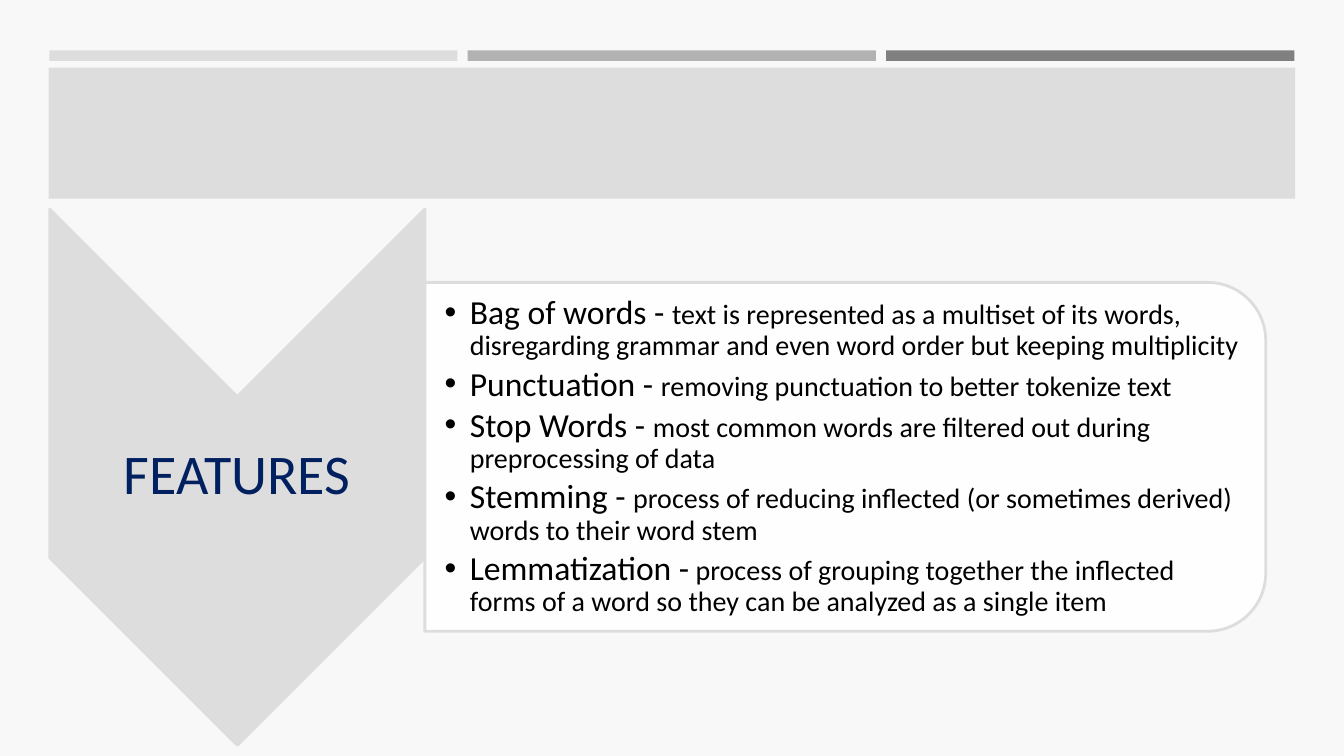
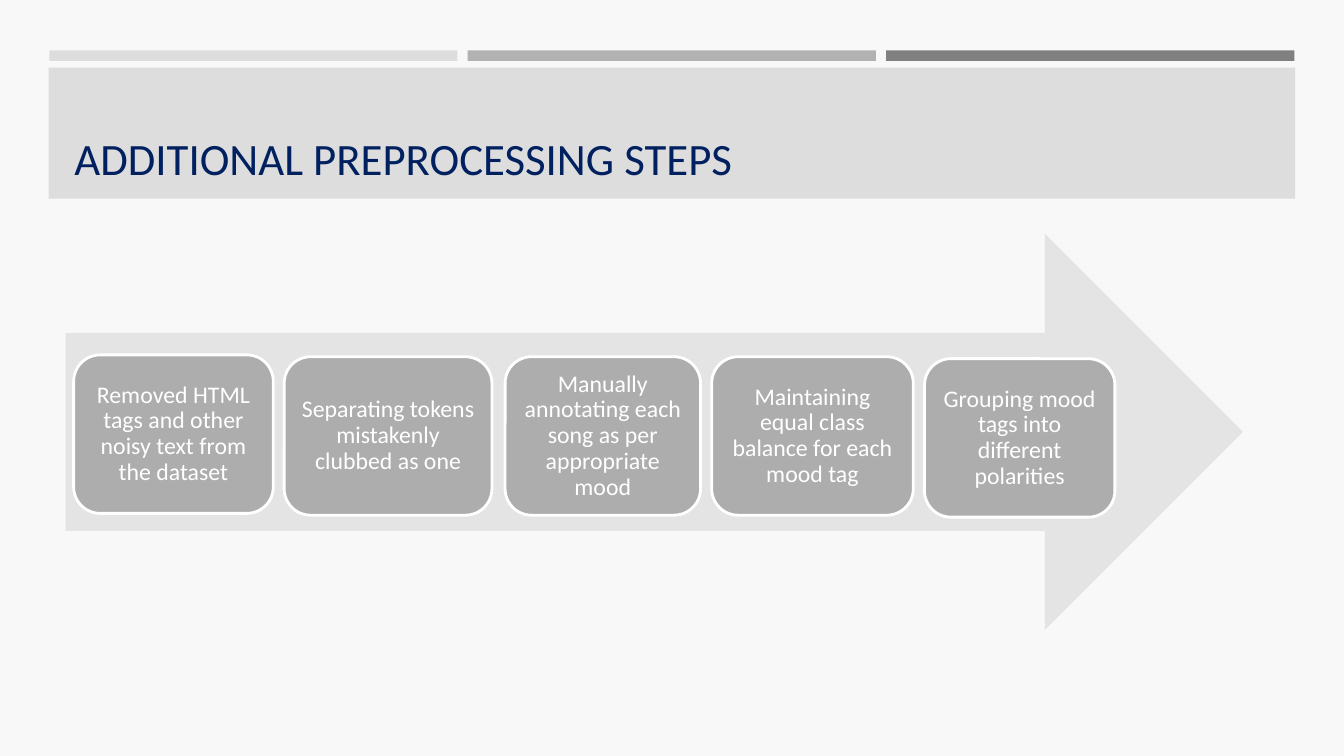
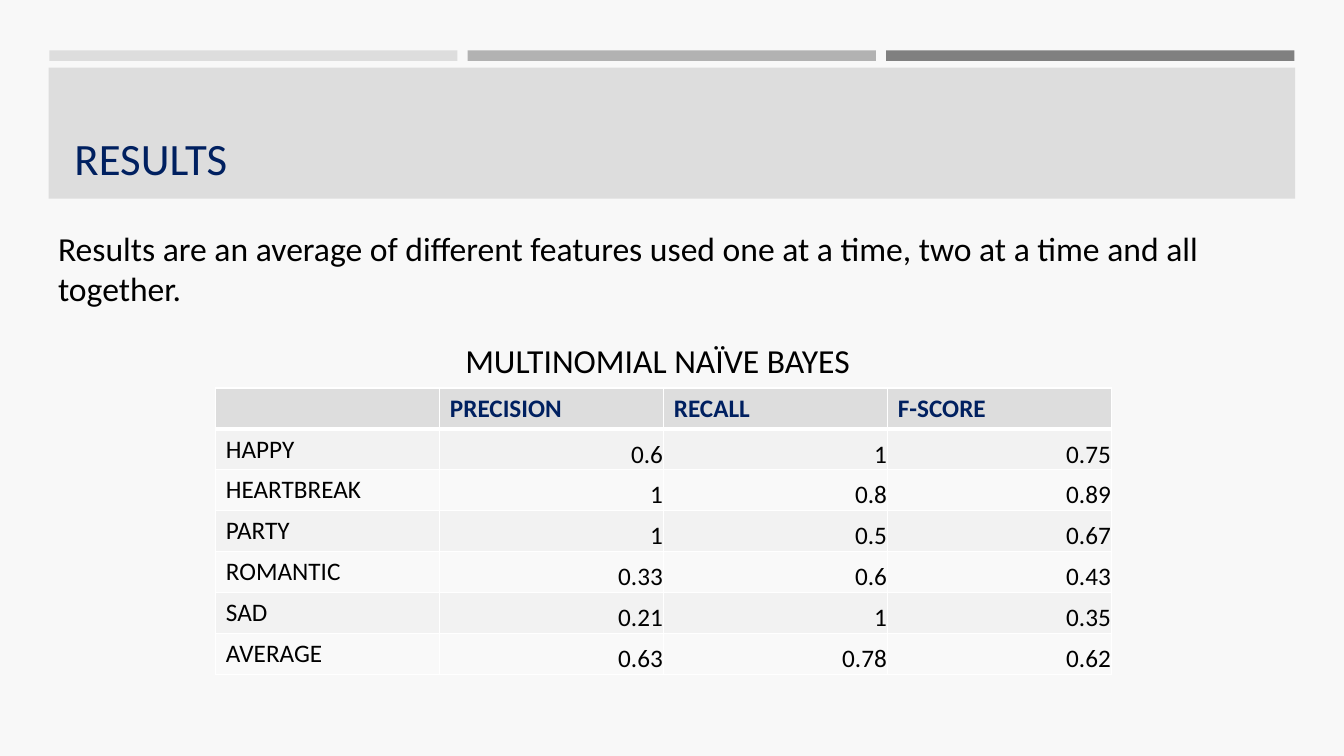
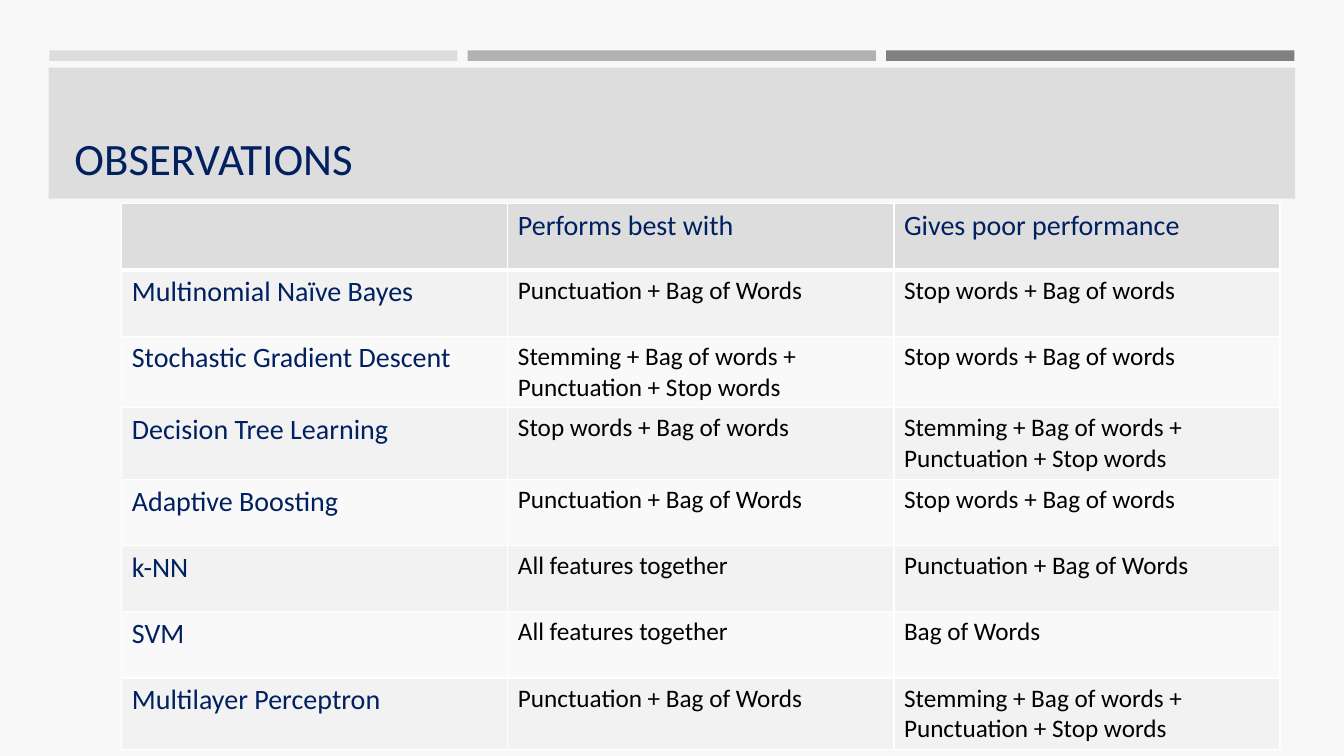
from dataclasses import dataclass
from typing import Optional

from lxml import etree
from pptx import Presentation
from pptx.dml.color import RGBColor
from pptx.enum.shapes import MSO_SHAPE, PP_PLACEHOLDER
from pptx.enum.text import MSO_ANCHOR, MSO_AUTO_SIZE, PP_ALIGN
from pptx.oxml.ns import qn
from pptx.util import Pt

RECT, ROUNDED = MSO_SHAPE.RECTANGLE, MSO_SHAPE.ROUNDED_RECTANGLE
CHEVRON, ARROW = MSO_SHAPE.CHEVRON, MSO_SHAPE.RIGHT_ARROW
TOP_ROUNDED = MSO_SHAPE.ROUND_2_SAME_RECTANGLE
LEFT, CENTER, RIGHT = PP_ALIGN.LEFT, PP_ALIGN.CENTER, PP_ALIGN.RIGHT
TOP, MIDDLE, BOTTOM = MSO_ANCHOR.TOP, MSO_ANCHOR.MIDDLE, MSO_ANCHOR.BOTTOM
NO_FIT = MSO_AUTO_SIZE.NONE
TITLE = PP_PLACEHOLDER.TITLE

FONT = "Calibri"
COLORS = {
    "background": "F8F8F8",
    "band": "DDDDDD",
    "band_mid": "B2B2B2",
    "band_dark": "808080",
    "arrow": "E4E4E4",
    "step": "ADADAD",
    "row_odd": "F2F2F2",
    "row_even": "F9F9F9",
    "white": "FFFFFF",
    "navy": "002060",
    "black": "000000",
}
DEFAULT_INSETS = (7.2, 3.6, 7.2, 3.6)
NUMBER_INSETS = (0.7, 0.7, 0.7, 0)
LAYOUT_CONTENT, LAYOUT_TITLE_ONLY = 1, 5


@dataclass
class Box:
    """A place on the slide, in points."""
    left: float
    top: float
    width: float
    height: float

    def lengths(self) -> tuple:
        return Pt(self.left), Pt(self.top), Pt(self.width), Pt(self.height)


@dataclass
class Step:
    text: str
    left: float
    top: float
    width: float


@dataclass
class CellStyle:
    size: float
    color: str = "black"
    bold: bool = False
    align: PP_ALIGN = LEFT
    anchor: MSO_ANCHOR = TOP
    insets: tuple = DEFAULT_INSETS


@dataclass
class TableStyle:
    header: CellStyle
    label: CellStyle
    value: CellStyle


def rgb(name: str) -> RGBColor:
    return RGBColor.from_string(COLORS[name])


# Text
def write_text(frame, paragraphs, *, size=18, color="black", bold=False,
               align=LEFT, anchor=TOP, insets=DEFAULT_INSETS,
               line_spacing=1.0, space_after=0, hanging=None) -> None:
    """Write a string, or a list of paragraphs made of (text, size) runs."""
    if isinstance(paragraphs, str):
        paragraphs = [[(paragraphs, size)]]
    frame.word_wrap, frame.auto_size = True, NO_FIT
    frame.vertical_anchor = anchor
    (frame.margin_left, frame.margin_top,
     frame.margin_right, frame.margin_bottom) = map(Pt, insets)
    for index, runs in enumerate(paragraphs):
        paragraph = frame.add_paragraph() if index else frame.paragraphs[0]
        paragraph.alignment = align
        paragraph.line_spacing = line_spacing
        paragraph.space_before, paragraph.space_after = Pt(0), Pt(space_after)
        if hanging is not None:
            properties = paragraph.runs and None or paragraph._p.get_or_add_pPr()
            properties.set("marL", str(Pt(hanging)))
            properties.set("indent", str(-Pt(hanging)))
        for text, run_size in runs:
            run = paragraph.add_run()
            run.text = text
            run.font.name, run.font.size = FONT, Pt(run_size)
            run.font.bold = bold
            run.font.color.rgb = rgb(color)


def add_label(slide, box: Box, text: str, **text_format) -> None:
    label = slide.shapes.add_textbox(*box.lengths())
    write_text(label.text_frame, text, **text_format)


# Shapes
def add_figure(slide, kind, box: Box, fill: str, line: Optional[str] = None,
               rotation: float = 0, opacity: Optional[int] = None):
    figure = slide.shapes.add_shape(kind, *box.lengths())
    figure.shadow.inherit = False
    figure.rotation = rotation
    figure.fill.solid()
    figure.fill.fore_color.rgb = rgb(fill)
    if opacity is not None:
        fill_color = figure.element.spPr.find(qn("a:solidFill"))[0]
        etree.SubElement(fill_color, qn("a:alpha"), val=str(opacity * 1000))
    if line:
        figure.line.color.rgb = rgb(line)
        figure.line.width = Pt(2)
    else:
        figure.line.fill.background()
    return figure


def place(placeholder, box: Box) -> None:
    (placeholder.left, placeholder.top,
     placeholder.width, placeholder.height) = box.lengths()


# Tables
def set_borders(cell, top: float, bottom: float) -> None:
    properties = cell._tc.get_or_add_tcPr()
    widths = {"a:lnL": 1, "a:lnR": 1, "a:lnT": top, "a:lnB": bottom}
    for index, (side, width) in enumerate(widths.items()):
        border = etree.Element(qn(side), w=str(Pt(width)))
        solid = etree.SubElement(border, qn("a:solidFill"))
        etree.SubElement(solid, qn("a:srgbClr"), val=COLORS["white"])
        properties.insert(index, border)


def add_grid(slide, box: Box, rows: list, style: TableStyle) -> None:
    table = slide.shapes.add_table(
        len(rows), len(rows[0]), *box.lengths()).table
    for column in table.columns:
        column.width = Pt(box.width / len(rows[0]))
    for r, row in enumerate(rows):
        table.rows[r].height = Pt(box.height / len(rows))
        for c, text in enumerate(row):
            cell = table.cell(r, c)
            if r == 0:
                fill, look = "band", style.header
            else:
                fill = "row_odd" if r % 2 else "row_even"
                look = style.value if c else style.label
            cell.fill.solid()
            cell.fill.fore_color.rgb = rgb(fill)
            set_borders(cell, top=3 if r == 1 else 1, bottom=1 if r else 3)
            cell.vertical_anchor = look.anchor
            (cell.margin_left, cell.margin_top,
             cell.margin_right, cell.margin_bottom) = map(Pt, look.insets)
            if text:
                paragraph = cell.text_frame.paragraphs[0]
                paragraph.alignment = look.align
                run = paragraph.add_run()
                run.text = text
                run.font.name, run.font.size = FONT, Pt(look.size)
                run.font.bold = look.bold
                run.font.color.rgb = rgb(look.color)


# Shared parts
def build_master(prs, first_slide) -> None:
    """Set background, title place and bands once, on the master."""
    master = prs.slide_master
    master.background.fill.solid()
    master.background.fill.fore_color.rgb = rgb("background")
    place(master.placeholders.get(TITLE), Box(46, 55.4, 868.4, 80))
    bands = [(Box(35.2 + 298.9 * i, 36, 291.6, 7.5), color)
             for i, color in enumerate(("band", "band_mid", "band_dark"))]
    bands.append((Box(34.8, 48.4, 890.4, 93.6), "band"))
    for index, (box, color) in enumerate(bands):
        band = add_figure(first_slide, RECT, box, color)
        band.element.nvSpPr.cNvPr.set("id", str(101 + index))
        master.shapes.element.insert(2 + index, band.element)


def add_titled_slide(prs, title: str):
    slide = prs.slides.add_slide(prs.slide_layouts[LAYOUT_TITLE_ONLY])
    write_text(slide.shapes.title.text_frame, title, size=32, color="navy",
               anchor=BOTTOM)
    return slide


# Slide 1: features
FEATURES = [
    ("Bag of words - ", "text is represented as a multiset\u00a0of its words, "
     "disregarding grammar and even word order but keeping multiplicity"),
    ("Punctuation - ", "removing punctuation to better tokenize text"),
    ("Stop Words - ", "most common words are filtered out during "
     "preprocessing of data"),
    ("Stemming - ", "process of reducing inflected (or sometimes derived) "
     "words to their word stem"),
    ("Lemmatization -", " process of grouping together the inflected forms "
     "of a word so they can be analyzed as a single item"),
]


def build_features(slide) -> None:
    add_figure(slide, CHEVRON, Box(-22, 206.8, 383, 268), "band", "band",
               rotation=90)
    add_figure(slide, TOP_ROUNDED, Box(479.2, 26, 249.2, 600.6), "white",
               "band", rotation=90, opacity=90)
    heading, feature_list = slide.shapes.title, slide.placeholders[1]
    place(heading, Box(35.2, 283, 268, 115))
    write_text(heading.text_frame, "FEATURES", size=40, color="navy",
               align=CENTER, anchor=MIDDLE, insets=(2, 2, 2, 2),
               line_spacing=0.9)
    place(feature_list, Box(304, 213.8, 588, 224.8))
    write_text(feature_list.text_frame,
               [[(name, 24), (meaning, 20)] for name, meaning in FEATURES],
               anchor=MIDDLE, insets=(13.6, 1.4, 1.4, 1.4),
               line_spacing=0.9, space_after=3.6, hanging=18)
    # Bring the text in front of the figures
    for part in (heading, feature_list):
        slide.shapes.element.append(part.element)


# Slide 2: preprocessing
STEPS = [
    Step("Removed HTML tags and other noisy text from the dataset",
         52.6, 253.5, 142.6),
    Step("Separating tokens mistakenly clubbed as one", 203, 254.8, 148.4),
    Step("Manually annotating each song as per appropriate mood",
         360.8, 254.8, 139.6),
    Step("Maintaining equal class balance for each mood tag",
         508.4, 254.8, 144),
    Step("Grouping mood tags into different polarities", 660.4, 256.2, 136),
]


def build_preprocessing(slide) -> None:
    add_figure(slide, ARROW, Box(46.8, 167, 841, 283), "arrow")
    for step in STEPS:
        card = add_figure(slide, ROUNDED,
                          Box(step.left, step.top, step.width, 113.2),
                          "step", "white")
        write_text(card.text_frame, step.text, size=17, color="white",
                   align=CENTER, anchor=MIDDLE, insets=(5, 5, 5, 5),
                   line_spacing=0.9)


# Slide 3: results
SCORES = [
    ("", "PRECISION", "RECALL", "F-SCORE"),
    ("HAPPY", "0.6", "1", "0.75"),
    ("HEARTBREAK", "1", "0.8", "0.89"),
    ("PARTY", "1", "0.5", "0.67"),
    ("ROMANTIC", "0.33", "0.6", "0.43"),
    ("SAD", "0.21", "1", "0.35"),
    ("AVERAGE", "0.63", "0.78", "0.62"),
]
SCORE_STYLE = TableStyle(
    header=CellStyle(18, "navy", bold=True),
    label=CellStyle(18),
    value=CellStyle(18, align=RIGHT, anchor=BOTTOM, insets=NUMBER_INSETS),
)


def build_results(slide) -> None:
    add_label(slide, Box(34.4, 159.2, 880, 94.4),
              "Results are an average of different features used one at a "
              "time, two at a time and all together.", size=24)
    add_grid(slide, Box(154.2, 277.2, 640, 204.4), SCORES, SCORE_STYLE)
    add_label(slide, Box(305.2, 239.2, 329, 36.4), "MULTINOMIAL NAÏVE BAYES",
              size=24, align=CENTER)


# Slide 4: observations
PUNCTUATION_BAG = "Punctuation + Bag of Words"
STOP_BAG = "Stop words + Bag of words"
FOUR_FEATURES = "Stemming + Bag of words + Punctuation + Stop words"
ALL_FEATURES = "All features together"
OBSERVATIONS = [
    ("", "Performs best with", "Gives poor performance"),
    ("Multinomial Naïve Bayes", PUNCTUATION_BAG, STOP_BAG),
    ("Stochastic Gradient Descent", FOUR_FEATURES, STOP_BAG),
    ("Decision Tree Learning", STOP_BAG, FOUR_FEATURES),
    ("Adaptive Boosting", PUNCTUATION_BAG, STOP_BAG),
    ("k-NN", ALL_FEATURES, PUNCTUATION_BAG),
    ("SVM", ALL_FEATURES, "Bag of Words"),
    ("Multilayer Perceptron", PUNCTUATION_BAG, FOUR_FEATURES),
]
OBSERVATION_STYLE = TableStyle(
    header=CellStyle(20, "navy"),
    label=CellStyle(20, "navy"),
    value=CellStyle(18),
)


def build_observations(slide) -> None:
    add_grid(slide, Box(87, 145.6, 827.4, 378.4), OBSERVATIONS,
             OBSERVATION_STYLE)


def main() -> None:
    prs = Presentation()
    prs.slide_width, prs.slide_height = Pt(960), Pt(540)
    features = prs.slides.add_slide(prs.slide_layouts[LAYOUT_CONTENT])
    build_master(prs, features)
    build_features(features)
    build_preprocessing(
        add_titled_slide(prs, "ADDITIONAL PREPROCESSING STEPS"))
    build_results(add_titled_slide(prs, "RESULTS"))
    build_observations(add_titled_slide(prs, "OBSERVATIONS"))
    prs.save("out.pptx")


main()
